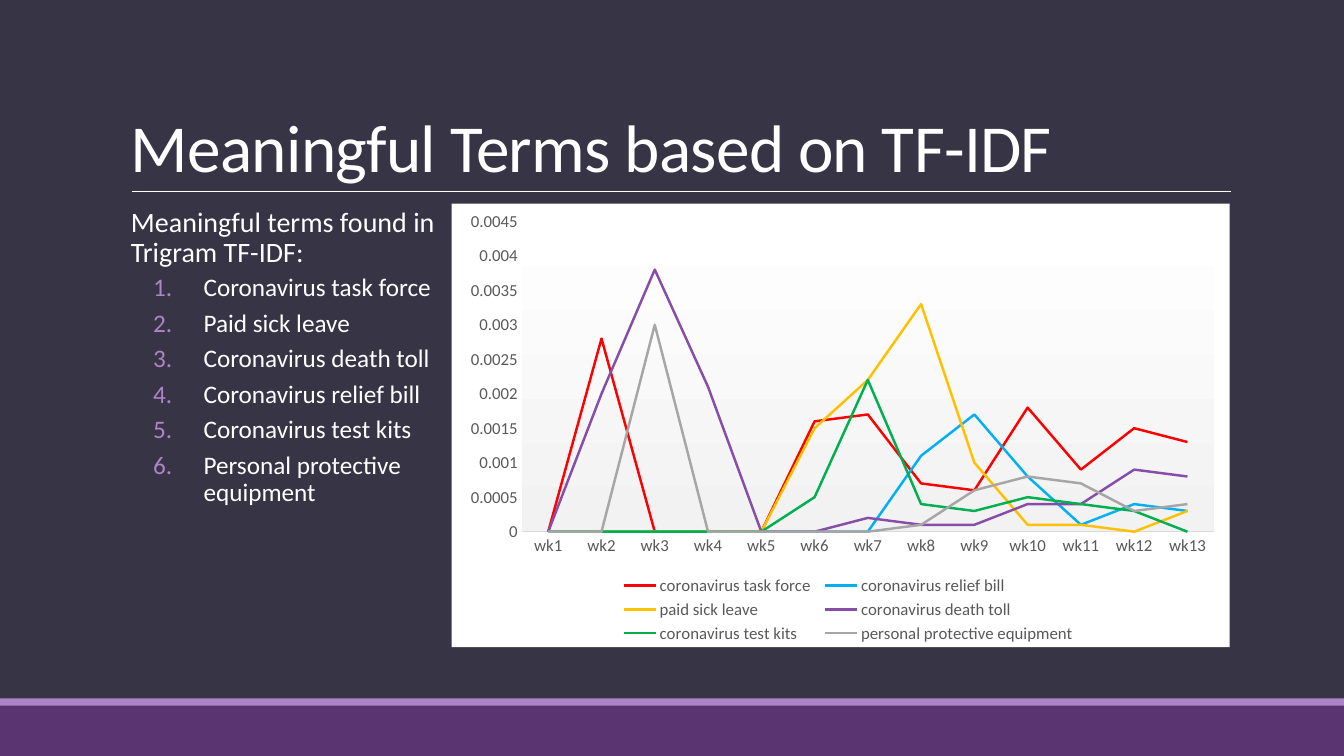
import lxml.etree
import pptx
import pptx.chart.data
import pptx.dml.color
import pptx.enum.chart
import pptx.enum.shapes
import pptx.enum.text
import pptx.oxml
import pptx.oxml.ns
import pptx.util

Pt = pptx.util.Pt
qn = pptx.oxml.ns.qn
spaces = pptx.oxml.ns.nsdecls("c", "a")


def paint(form, tint):
    if hasattr(form, "solid"):
        form.solid()
        form = form.fore_color
    form.rgb = pptx.dml.color.RGBColor.from_string(tint)


def write(para, text, size):
    run = para.add_run()
    run.text = text
    run.font.name = "Calibri"
    run.font.size = Pt(size)
    paint(run.font.color, "FFFFFF")
    return run


deck = pptx.Presentation()
deck.slide_width = pptx.util.Inches(13.33)
deck.slide_height = pptx.util.Inches(7.5)
col = deck.slide_width / 100
row = deck.slide_height / 75
slide = deck.slides.add_slide(deck.slide_layouts[6])
paint(slide.background.fill, "373545")

for top, tall, tint in [(70, 5, "5A3471"), (69.3, 0.7, "AD84C6")]:
    band = slide.shapes.add_shape(
        pptx.enum.shapes.MSO_SHAPE.RECTANGLE,
        0, int(top * row), deck.slide_width, int(tall * row))
    band.shadow.inherit = False
    paint(band.fill, tint)
    band.line.fill.background()

rule = slide.shapes.add_connector(
    pptx.enum.shapes.MSO_CONNECTOR.STRAIGHT,
    int(9.83 * col), int(19 * row), int(91.6 * col), int(19 * row))
rule.line.width = Pt(0.5)
paint(rule.line.fill, "FFFFFF")
lxml.etree.SubElement(rule.element.spPr, qn("a:effectLst"))

title = slide.shapes.add_textbox(
    int(9 * col), int(3.1 * row), int(82.5 * col), int(15.9 * row)).text_frame
title.word_wrap = True
title.vertical_anchor = pptx.enum.text.MSO_ANCHOR.BOTTOM
head = title.paragraphs[0]
head.line_spacing = 0.85
run = write(head, "Meaningful Terms based on TF-IDF", 48)
run.font.element.set("spc", "-50") if hasattr(run.font, "element") else run._r.get_or_add_rPr().set("spc", "-50")

body = slide.shapes.add_textbox(
    int(9 * col), int(20.2 * row), int(26.25 * col), int(44 * row)).text_frame
body.word_wrap = True
body.margin_left = body.margin_right = 0
lead = body.paragraphs[0]
lead.line_spacing = 0.9
lead.space_before, lead.space_after = Pt(12), Pt(2)
lead._p.get_or_add_pPr().set("marL", str(pptx.util.Inches(0.1)))
write(lead, "Meaningful terms found in Trigram TF-IDF:", 20)

terms = ["Coronavirus task force", "Paid sick leave", "Coronavirus death toll",
         "Coronavirus relief bill", "Coronavirus test kits",
         "Personal protective equipment"]
for term in terms:
    para = body.add_paragraph()
    para.level = 1
    para.line_spacing = 0.9
    para.space_before, para.space_after = Pt(2), Pt(4)
    props = para._p.get_or_add_pPr()
    props.set("marL", str(pptx.util.Inches(0.82)))
    props.set("indent", str(pptx.util.Inches(-0.5)))
    shade = lxml.etree.SubElement(props, qn("a:buClr"))
    lxml.etree.SubElement(shade, qn("a:srgbClr")).set("val", "AD84C6")
    lxml.etree.SubElement(props, qn("a:buFont")).set("typeface", "+mj-lt")
    lxml.etree.SubElement(props, qn("a:buAutoNum")).set("type", "arabicPeriod")
    write(para, term, 18)

trends = [
    ("coronavirus task force", "FF0000",
     [0, 0.0028, 0, 0, 0, 0.0016, 0.0017, 0.0007, 0.0006, 0.0018, 0.0009, 0.0015, 0.0013]),
    ("coronavirus relief bill", "00B0F0",
     [0, 0, 0, 0, 0, 0, 0, 0.0011, 0.0017, 0.0008, 0.0001, 0.0004, 0.0003]),
    ("paid sick leave", "FFC000",
     [0, 0, 0, 0, 0, 0.0015, 0.0022, 0.0033, 0.001, 0.0001, 0.0001, 0, 0.0003]),
    ("coronavirus death toll", "874EA9",
     [0, 0.002, 0.0038, 0.0021, 0, 0, 0.0002, 0.0001, 0.0001, 0.0004, 0.0004, 0.0009, 0.0008]),
    ("coronavirus test kits", "00B050",
     [0, 0, 0, 0, 0, 0.0005, 0.0022, 0.0004, 0.0003, 0.0005, 0.0004, 0.0003, 0]),
    ("personal protective equipment", "A6A6A6",
     [0, 0, 0.003, 0, 0, 0, 0, 0.0001, 0.0006, 0.0008, 0.0007, 0.0003, 0.0004]),
]
data = pptx.chart.data.CategoryChartData()
data.categories = [f"wk{week}" for week in range(1, 14)]
for name, tint, vals in trends:
    data.add_series(name, vals)
chart = slide.shapes.add_chart(
    pptx.enum.chart.XL_CHART_TYPE.LINE, int(33.6 * col), int(20.2 * row),
    int(57.9 * col), int(44 * row), data).chart
chart.has_title = False
chart.font.name = "Calibri"
chart.font.size = Pt(12)
paint(chart.font.color, "595959")
chart.plots[0].vary_by_categories = False
for line, (name, tint, vals) in zip(chart.plots[0].series, trends):
    line.smooth = False
    line.marker.style = pptx.enum.chart.XL_MARKER_STYLE.NONE
    line.format.line.width = Pt(1.75)
    paint(line.format.line.fill, tint)

weeks, scores = chart.category_axis, chart.value_axis
for axis in (weeks, scores):
    axis.major_tick_mark = pptx.enum.chart.XL_TICK_MARK.NONE
    axis.has_major_gridlines = False
weeks.format.line.width = Pt(0.75)
paint(weeks.format.line.fill, "D9D9D9")
scores.format.line.fill.background()
scores.minimum_scale, scores.maximum_scale = 0, 0.0045
scores.major_unit = 0.0005
scores.tick_labels.number_format = "General"
scores.tick_labels.number_format_is_linked = False

chart.has_legend = True
chart.legend.position = pptx.enum.chart.XL_LEGEND_POSITION.BOTTOM
chart.legend.include_in_layout = False

space = chart.element
plot = space.find(".//" + qn("c:plotArea"))
key = chart.legend._element
for part, inner, frame in [(plot, True, (0.09, 0.04, 0.89, 0.7)),
                           (key, False, (0.21, 0.83, 0.6, 0.17))]:
    for old in part.findall(qn("c:layout")):
        part.remove(old)
    target = '<c:layoutTarget val="inner"/>' if inner else ""
    modes = "".join(f'<c:{side}Mode val="edge"/>' for side in "xy")
    sizes = "".join(f'<c:{side} val="{share}"/>' for side, share in zip("xywh", frame))
    part.insert(0 if inner else 1, pptx.oxml.parse_xml(
        f"<c:layout {spaces}><c:manualLayout>{target}{modes}{sizes}"
        "</c:manualLayout></c:layout>"))

stops = "".join(f'<a:gs pos="{spot}"><a:srgbClr val="{tint}"/></a:gs>'
                for spot, tint in [(0, "FFFFFF"), (100000, "F2F2F2")])
plot.append(pptx.oxml.parse_xml(
    f"<c:spPr {spaces}><a:gradFill><a:gsLst>{stops}</a:gsLst>"
    '<a:lin ang="5400000" scaled="0"/></a:gradFill><a:ln><a:noFill/></a:ln></c:spPr>'))
space.find(qn("c:chart")).addnext(pptx.oxml.parse_xml(
    f'<c:spPr {spaces}><a:solidFill><a:srgbClr val="FFFFFF"/></a:solidFill>'
    "<a:ln><a:noFill/></a:ln></c:spPr>"))

deck.save("out.pptx")
